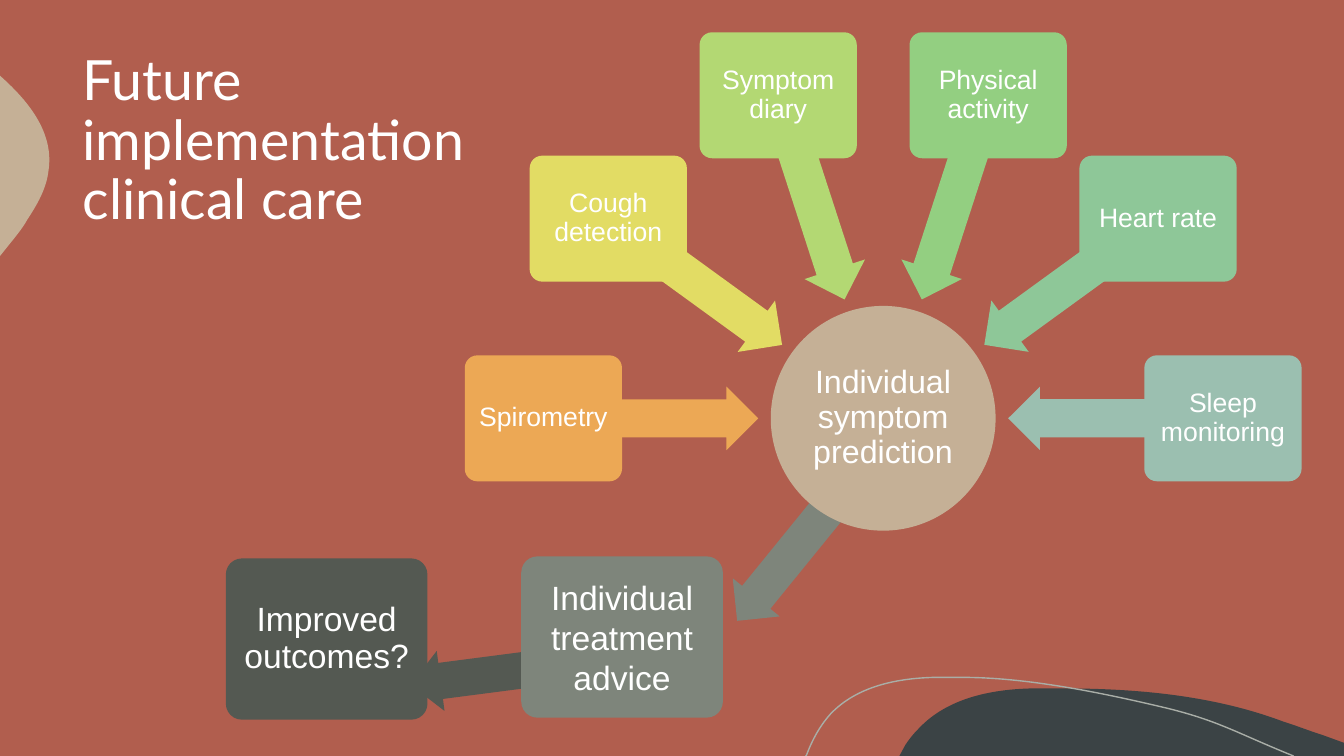
import math
from lxml import etree
from pptx import Presentation
from pptx.dml.color import RGBColor
from pptx.enum.shapes import MSO_SHAPE
from pptx.enum.text import MSO_ANCHOR, MSO_AUTO_SIZE, PP_ALIGN
from pptx.oxml.ns import qn
from pptx.util import Inches, Pt

ROUNDED, OVAL, ARROW = MSO_SHAPE.ROUNDED_RECTANGLE, MSO_SHAPE.OVAL, MSO_SHAPE.LEFT_ARROW
CENTER, LEFT = PP_ALIGN.CENTER, PP_ALIGN.LEFT
MIDDLE = MSO_ANCHOR.MIDDLE
NO_FIT = MSO_AUTO_SIZE.NONE

BACKGROUND, WHITE, SAND = "B15E4E", "FFFFFF", "C5B096"
SLATE, SAGE, MOSS, LINE = "3B4345", "7E857B", "545952", "A9AEA7"

TITLE = "Future\vimplementation\vclinical care"
HUB = "Individual symptom prediction"
INPUTS = [
    ("Spirometry", "ECA855"),
    ("Cough detection", "E2DC64"),
    ("Symptom diary", "B3D873"),
    ("Physical activity", "93CF81"),
    ("Heart rate", "8EC798"),
    ("Sleep monitoring", "9BBFB0"),
]
OUTPUT_ARROWS = [
    ((5.03, 6.67), -7.4, MOSS),
    ((7.92, 5.41), -50.9, SAGE),
]
OUTPUT_BOXES = [
    ("Individual treatment advice", (6.17, 6.32), SAGE, 1),
    ("Improved outcomes?", (3.24, 6.34), MOSS, 0.9),
]

HUB_CENTER, HUB_SIZE = (8.76, 4.15), (2.23, 2.23)
INPUT_SIZE, INPUT_RADIUS = (1.56, 1.25), 3.37
ARROW_SIZE, ARROW_RADIUS = (2.14, 0.63), 2.31
OUTPUT_SIZE, OUTPUT_ARROW_SIZE = (2, 1.6), (1.93, 0.6)
STEP = 36

DARK_HILL = [
    (10.54, 6.83),
    ((11.28, 6.83), (12.04, 6.9), (12.73, 7.16)),
    ((12.86, 7.2), (12.98, 7.25), (13.11, 7.29)),
    (13.33, 7.37), (13.33, 7.5), (8.92, 7.5), (8.98, 7.39),
    ((9.02, 7.33), (9.06, 7.28), (9.11, 7.23)),
    ((9.39, 6.93), (9.82, 6.84), (10.23, 6.83)),
    ((10.33, 6.83), (10.43, 6.83), (10.54, 6.83)),
]
SAND_BULGE = [
    (0, 0.75), (0.01, 0.76),
    ((0.3, 1.02), (0.54, 1.33), (0.48, 1.7)),
    ((0.46, 1.87), (0.37, 2.03), (0.27, 2.18)),
    ((0.24, 2.24), (0.17, 2.33), (0.08, 2.44)),
    (0, 2.54),
]
THIN_WAVE = [
    (7.99, 7.5), (8, 7.49),
    ((8.06, 7.33), (8.14, 7.19), (8.24, 7.08)),
    ((8.5, 6.81), (8.89, 6.73), (9.26, 6.72)),
    (9.55, 6.72),
    ((10.22, 6.72), (11, 6.89), (11.55, 7.02)),
    ((12.09, 7.15), (12.26, 7.27), (12.83, 7.5)),
]


def color(value):
    return RGBColor.from_string(value)


def paint(shape, fill):
    shape.shadow.inherit = False
    shape.fill.solid()
    shape.fill.fore_color.rgb = color(fill)
    shape.line.fill.background()


def add_outline(page, outline, closed=True):
    start, *parts = outline
    ends = [part[-1] if len(part) == 3 else part for part in parts]
    builder = page.shapes.build_freeform(*map(Inches, start), scale=1)
    builder.add_line_segments([tuple(map(Inches, end)) for end in ends], close=closed)
    shape = builder.convert_to_shape()
    segments = list(shape.element.iter(qn("a:lnTo")))
    for part, segment in zip(parts, segments):
        if len(part) == 3:
            segment_curve = etree.Element(qn("a:cubicBezTo"))
            for x, y in part:
                etree.SubElement(segment_curve, qn("a:pt"),
                                 x=str(Inches(x) - shape.left), y=str(Inches(y) - shape.top))
            segment.getparent().replace(segment, segment_curve)
    return shape


def add_centered(page, kind, center, size, fill):
    left, top = (middle - length / 2 for middle, length in zip(center, size))
    shape = page.shapes.add_shape(kind, *map(Inches, (left, top, *size)))
    paint(shape, fill)
    return shape


def add_arrow(page, center, size, angle, fill):
    arrow = add_centered(page, ARROW, center, size, fill)
    arrow.adjustments[0] = 0.6
    arrow.adjustments[1] = 0.5
    arrow.rotation = angle


def write(shape, text, size, font, align, spacing):
    frame = shape.text_frame
    frame.word_wrap = True
    frame.auto_size = NO_FIT
    frame.vertical_anchor = MIDDLE
    frame.text = text
    para = frame.paragraphs[0]
    para.alignment = align
    para.line_spacing = spacing
    para.font.size = Pt(size)
    para.font.name = font
    para.font.color.rgb = color(WHITE)


def add_label(page, kind, center, size, fill, text, points, inset, spacing=0.9):
    box = add_centered(page, kind, center, size, fill)
    if kind == ROUNDED:
        box.adjustments[0] = 0.1
    frame = box.text_frame
    frame.margin_left = frame.margin_right = Inches(inset)
    frame.margin_top = frame.margin_bottom = Inches(inset)
    write(box, text, points, "Arial", CENTER, spacing)


def around_hub(angle, radius):
    turn = math.radians(angle)
    return HUB_CENTER[0] + radius * math.cos(turn), HUB_CENTER[1] + radius * math.sin(turn)


def main():
    deck = Presentation()
    deck.slide_width, deck.slide_height = Inches(13.33), Inches(7.5)
    page = deck.slides.add_slide(deck.slide_layouts[5])
    page.background.fill.solid()
    page.background.fill.fore_color.rgb = color(BACKGROUND)

    title = page.shapes.title
    title.left, title.top, title.width, title.height = map(Inches, (0.72, 0.42, 5.04, 1.98))
    write(title, TITLE, 39.6, "Lato", LEFT, 0.9)

    for outline, fill in ((DARK_HILL, SLATE), (SAND_BULGE, SAND)):
        paint(add_outline(page, outline), fill)
    wave = add_outline(page, THIN_WAVE, closed=False)
    wave.shadow.inherit = False
    wave.fill.background()
    wave.line.color.rgb = color(LINE)
    wave.line.width = Pt(1)

    for center, angle, fill in OUTPUT_ARROWS:
        add_arrow(page, center, OUTPUT_ARROW_SIZE, angle, fill)
    add_label(page, OVAL, HUB_CENTER, HUB_SIZE, SAND, HUB, 23, 0.02)
    for index, (text, fill) in enumerate(INPUTS):
        angle = 180 + STEP * index
        add_arrow(page, around_hub(angle, ARROW_RADIUS), ARROW_SIZE, angle, fill)
        add_label(page, ROUNDED, around_hub(angle, INPUT_RADIUS), INPUT_SIZE, fill, text, 19, 0.04)
    for text, center, fill, spacing in OUTPUT_BOXES:
        add_label(page, ROUNDED, center, OUTPUT_SIZE, fill, text, 24, 0.06, spacing)

    deck.save("out.pptx")


if __name__ == "__main__":
    main()
